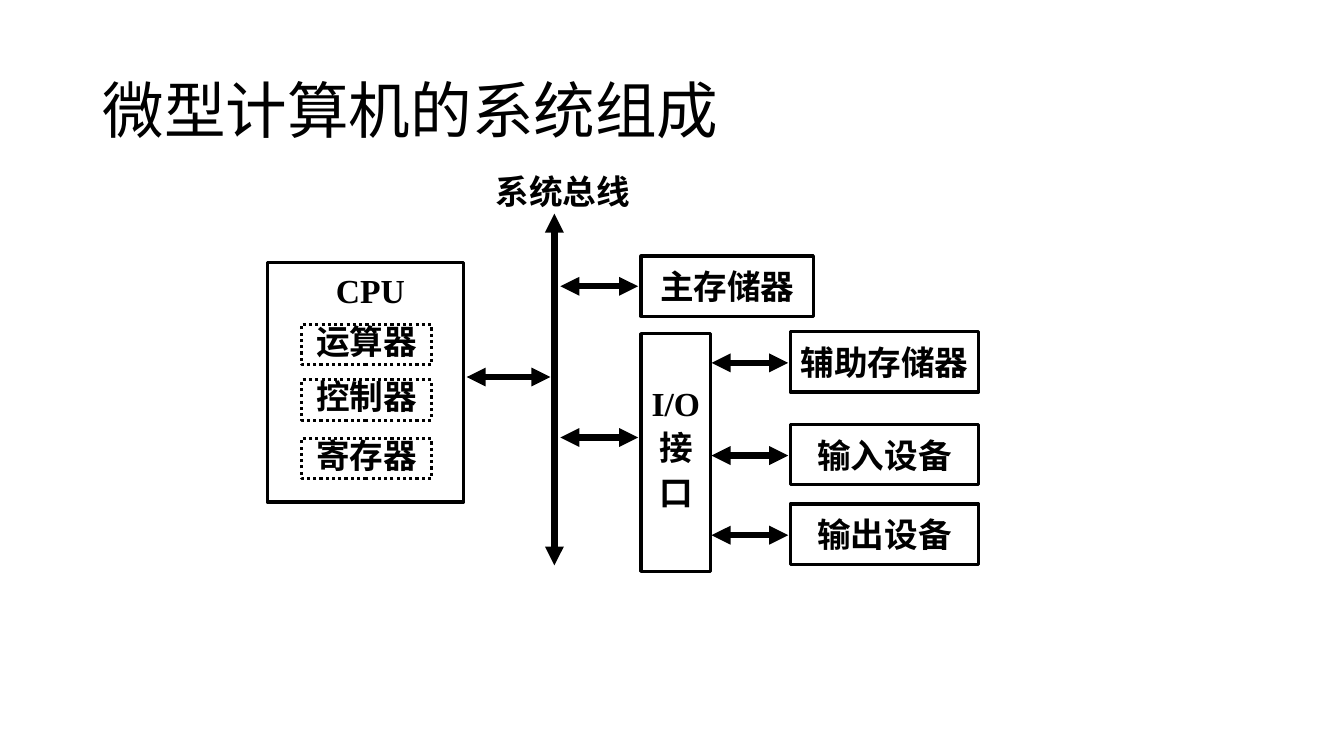
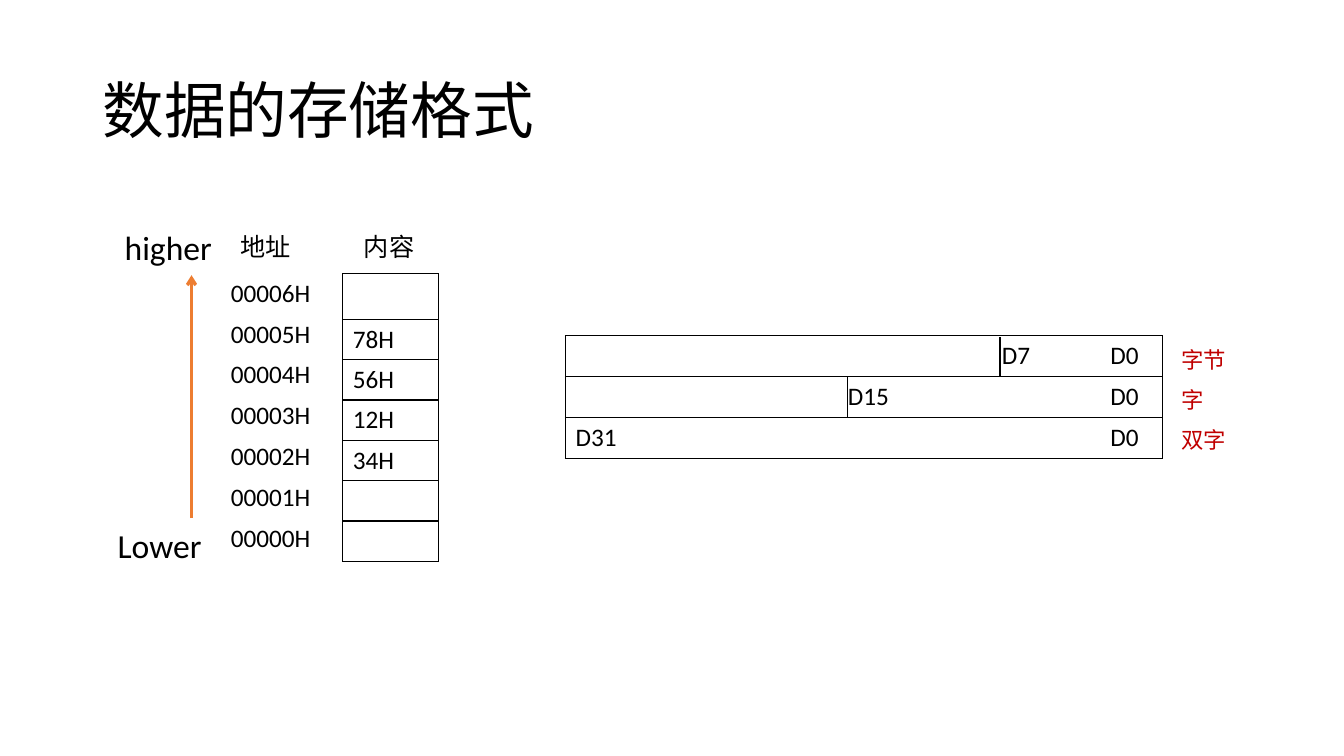
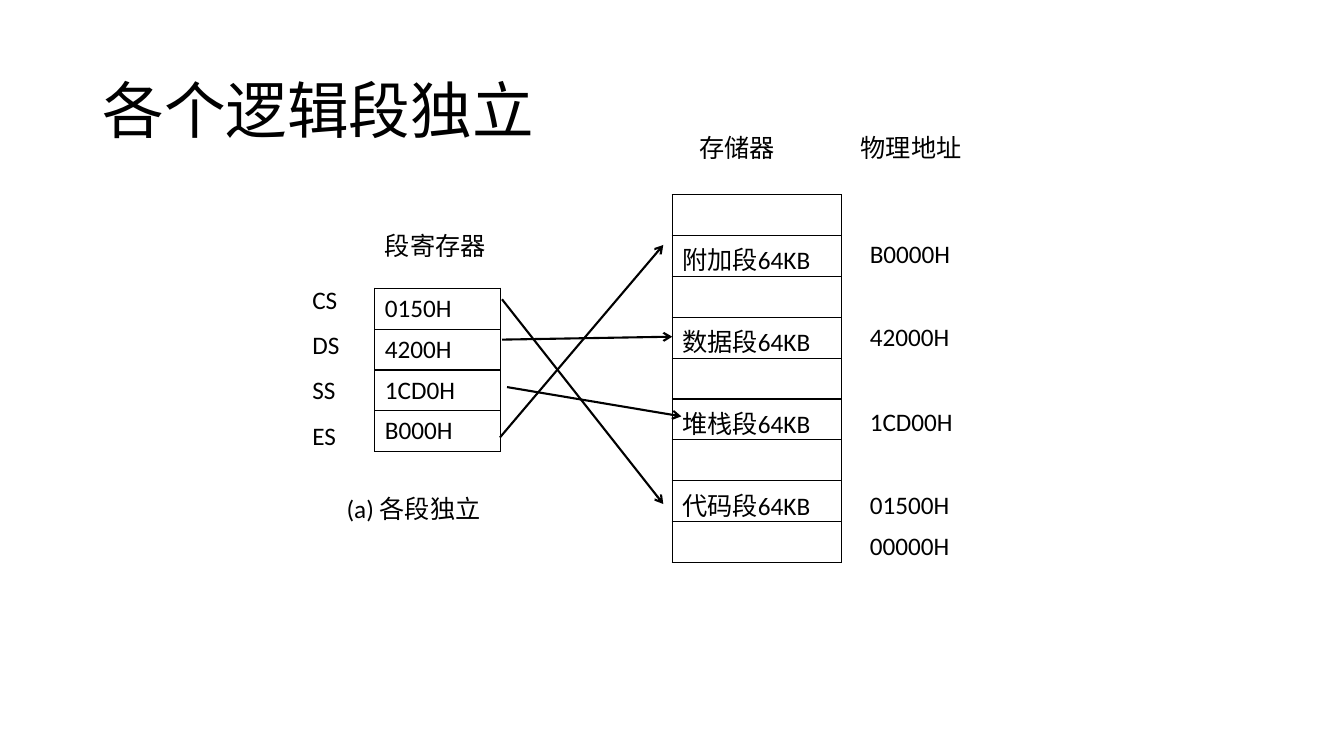
from lxml import etree
from pptx import Presentation
from pptx.dml.color import RGBColor
from pptx.enum import dml, shapes, text
from pptx.oxml import ns
from pptx.util import Pt

BLACK = RGBColor(0x00, 0x00, 0x00)
ORANGE = RGBColor(0xED, 0x7D, 0x31)
RED = RGBColor(0xC0, 0x00, 0x00)
SANS, SERIF = "Calibri", "Times New Roman"
LEFT, MID = text.PP_ALIGN.LEFT, text.PP_ALIGN.CENTER
TOP, CENTER = text.MSO_ANCHOR.TOP, text.MSO_ANCHOR.MIDDLE
ROW = 29.2


def node(parent, tag, **attrs):
    return etree.SubElement(parent, ns.qn(tag), **attrs)


def write(frame, words, size=18, font=SANS, color=BLACK, bold=False,
          align=LEFT, lead=None, gap=0, tabs=()):
    """Fill a text frame, one paragraph a line; tabs are stops in points."""
    for i, line in enumerate(words.split("\n")):
        para = frame.paragraphs[0] if i == 0 else frame.add_paragraph()
        para.alignment = align
        if lead:
            para.line_spacing = lead
        if gap and i:
            para.space_before = Pt(gap)
        if tabs:
            stops = node(para._p.get_or_add_pPr(), "a:tabLst")
            for stop in tabs:
                node(stops, "a:tab", pos=str(int(Pt(stop))), algn="l")
        run = para.add_run()
        run.text = line
        run.font.size, run.font.name = Pt(size), font
        run.font.bold = bold
        run.font.color.rgb = color


def label(slide, x, y, w, h, words, inset=None, wrap=True, **fmt):
    frame = slide.shapes.add_textbox(Pt(x), Pt(y), Pt(w), Pt(h)).text_frame
    frame.word_wrap = wrap
    if inset is not None:
        pad(frame, inset)
    write(frame, words, **fmt)


def pad(frame, inset, top=None):
    frame.margin_left = frame.margin_right = frame.margin_bottom = Pt(inset)
    frame.margin_top = Pt(inset if top is None else top)


def block(slide, x, y, w, h, words="", dots=False, anchor=CENTER, top=None, **fmt):
    """Outlined box with bold centred serif text."""
    shape = slide.shapes.add_shape(shapes.MSO_SHAPE.RECTANGLE, Pt(x), Pt(y), Pt(w), Pt(h))
    shape.shadow.inherit = False
    shape.fill.background()
    shape.line.color.rgb = BLACK
    shape.line.width = Pt(2.25)
    if dots:
        shape.line.dash_style = dml.MSO_LINE.ROUND_DOT
    if words:
        frame = shape.text_frame
        frame.word_wrap = True
        frame.vertical_anchor = anchor
        pad(frame, 0.72, top)
        write(frame, words, size=24, font=SERIF, bold=True, align=MID, **fmt)


def link(slide, x1, y1, x2, y2, width=1.5, color=BLACK, head=None, tail=None):
    line = slide.shapes.add_connector(
        shapes.MSO_CONNECTOR.STRAIGHT, Pt(x1), Pt(y1), Pt(x2), Pt(y2))
    line.line.color.rgb = color
    line.line.width = Pt(width)
    stroke = line.line._get_or_add_ln()
    for tag, kind in (("a:headEnd", head), ("a:tailEnd", tail)):
        if kind:
            node(stroke, tag, type=kind)
    node(line._element.spPr, "a:effectLst")


def both(slide, x1, y1, x2, y2):
    """Thick link with a head at each end."""
    link(slide, x1, y1, x2, y2, width=4.5, head="triangle", tail="triangle")


def edge(cell, lined):
    props = cell._tc.get_or_add_tcPr()
    for i, side in enumerate(("a:lnL", "a:lnR", "a:lnT", "a:lnB")):
        line = etree.Element(ns.qn(side), w=str(int(Pt(1))))
        if lined:
            node(node(line, "a:solidFill"), "a:srgbClr", val=str(BLACK))
        else:
            node(line, "a:noFill")
        props.insert(i, line)


def column(slide, x, y, w, items, row=ROW, first=None, lined=True, tabs=None):
    """One-column table; tabs gives the stops of each row."""
    count = len(items)
    table = slide.shapes.add_table(count, 1, Pt(x), Pt(y), Pt(w), Pt(row * count)).table
    table.first_row = table.horz_banding = False
    table.columns[0].width = Pt(w)
    for i, words in enumerate(items):
        table.rows[i].height = Pt(first if first and i == 0 else row)
        cell = table.cell(i, 0)
        cell.fill.background()
        edge(cell, lined)
        if words:
            write(cell.text_frame, words, tabs=tabs[i] if tabs else ())


def page(deck, title):
    slide = deck.slides.add_slide(deck.slide_layouts[5])
    head = slide.shapes.title
    head.left, head.top, head.width, head.height = Pt(66), Pt(29), Pt(828), Pt(104.4)
    head.text_frame.vertical_anchor = CENTER
    write(head.text_frame, title, size=44, lead=0.9)
    return slide


def cpu(slide, x, y):
    block(slide, x, y, 140.4, 171.4)
    label(slide, x + 37.4, y + 5, 72.7, 26, "CPU", inset=0.72,
          size=24, font=SERIF, bold=True, align=MID)
    for drop, name in ((44.6, "运算器"), (84.2, "控制器"), (126, "寄存器")):
        block(slide, x + 24.5, y + drop, 92.9, 28.8, name, dots=True, anchor=TOP, lead=0.9)


def bus(slide, x, y):
    """Bus line with its name and the links that meet it."""
    label(slide, x - 67, y - 31, 146, 28, "系统总线", inset=0.72,
          size=24, font=SERIF, bold=True, align=MID)
    both(slide, x, y, x, y + 251.3)
    both(slide, x - 62.6, y + 116.7, x - 2.9, y + 116.7)
    for drop in (51.9, 159.9):
        both(slide, x + 4.3, y + drop, x + 59.8, y + drop)


def ports(slide, x, y):
    """Main memory, and the interface with its devices."""
    block(slide, x, y, 123.1, 43.2, "主存储器")
    block(slide, x, y + 55.4, 49.7, 169.9, "I/O\n接\n口", anchor=TOP, top=35, gap=3)
    for drop, name in ((54, "辅助存储器"), (120.2, "输入设备"), (177.1, "输出设备")):
        block(slide, x + 106.6, y + drop, 134.6, 43.2, name)
        both(slide, x + 105.1, y + drop + 22.3, x + 50.4, y + drop + 22.3)


def memory(slide, x, y):
    """Addresses and contents, with the direction of growth."""
    label(slide, x + 5, y, 83, 36, "higher", wrap=False, size=24)
    label(slide, x, y + 213.1, 81, 36, "Lower", wrap=False, size=24)
    link(slide, x + 59.8, y + 211.7, x + 59.8, y + 38.2, 2.25, ORANGE, tail="arrow")
    label(slide, x + 87.9, y + 3.6, 159, 29, "地址\t内容", tabs=(88,))
    column(slide, x + 80.7, y + 36.7, 78.5,
           [f"{n:05}H" for n in range(6, -1, -1)], lined=False)
    column(slide, x + 167.8, y + 37.2, 68.4,
           ["", "78H", "56H", "12H", "34H", "", ""], row=28.2, first=32.4)


def widths(slide, x, y):
    """Bit ranges of byte, word and double word."""
    last = 382
    column(slide, x, y, 426.2, ["\tD7\tD0", "\tD15\tD0", "D31\tD0"],
           tabs=[(304.5, last), (194.5, last), (last,)])
    for i, across in enumerate((310.3, 201.6)):
        top = y + 1 + i * 28.5
        link(slide, x + across, top, x + across, top + 28.5, width=1)
    label(slide, x + 432.7, y - 5.8, 68.4, 98, "字节\n字\n双字", size=16, color=RED, lead=1.5)


def regs(slide, x, y):
    label(slide, x, y - 45.3, 115, 29, "段寄存器")
    label(slide, x - 51.8, y - 17.3, 47.5, 138, "CS\nDS\nSS\nES", lead=1.5)
    column(slide, x, y, 90, ["0150H", "4200H", "1CD0H", "B000H"])
    label(slide, x - 27.3, y + 142.6, 145.4, 29, "(a) 各段独立")


def store(slide, x, y):
    """Memory map with physical addresses."""
    label(slide, x + 12.3, y - 48.3, 115, 29, "存储器")
    label(slide, x + 127.5, y - 48.3, 115, 29, "物理地址")
    items = [""]
    for name in ("附加段", "数据段", "堆栈段", "代码段"):
        items += [name + "64KB", ""]
    column(slide, x, y, 121, items)
    for drop, place in ((28, "B0000H"), (87.1, "42000H"), (147.6, "1CD00H"),
                        (206.6, "01500H"), (236.1, "00000H")):
        label(slide, x + 134, y + drop, 115, 29, place)


def main():
    deck = Presentation()
    deck.slide_width, deck.slide_height = Pt(960), Pt(540)

    slide = page(deck, "微型计算机的系统组成")
    cpu(slide, 190.8, 187.2)
    bus(slide, 396, 152.6)
    ports(slide, 457.9, 182.9)

    slide = page(deck, "数据的存储格式")
    memory(slide, 77, 158.4)
    widths(slide, 403.9, 239.8)

    slide = page(deck, "各个逻辑段独立")
    store(slide, 480.2, 139)
    regs(slide, 267.8, 205.9)
    for ends in ((358.6, 213.8, 473.8, 360), (358.6, 242.6, 480.2, 240.5),
                 (362.2, 276.5, 486.7, 297.4), (357.1, 312.5, 473.8, 175)):
        link(slide, *ends, tail="arrow")

    deck.save("out.pptx")


if __name__ == "__main__":
    main()
